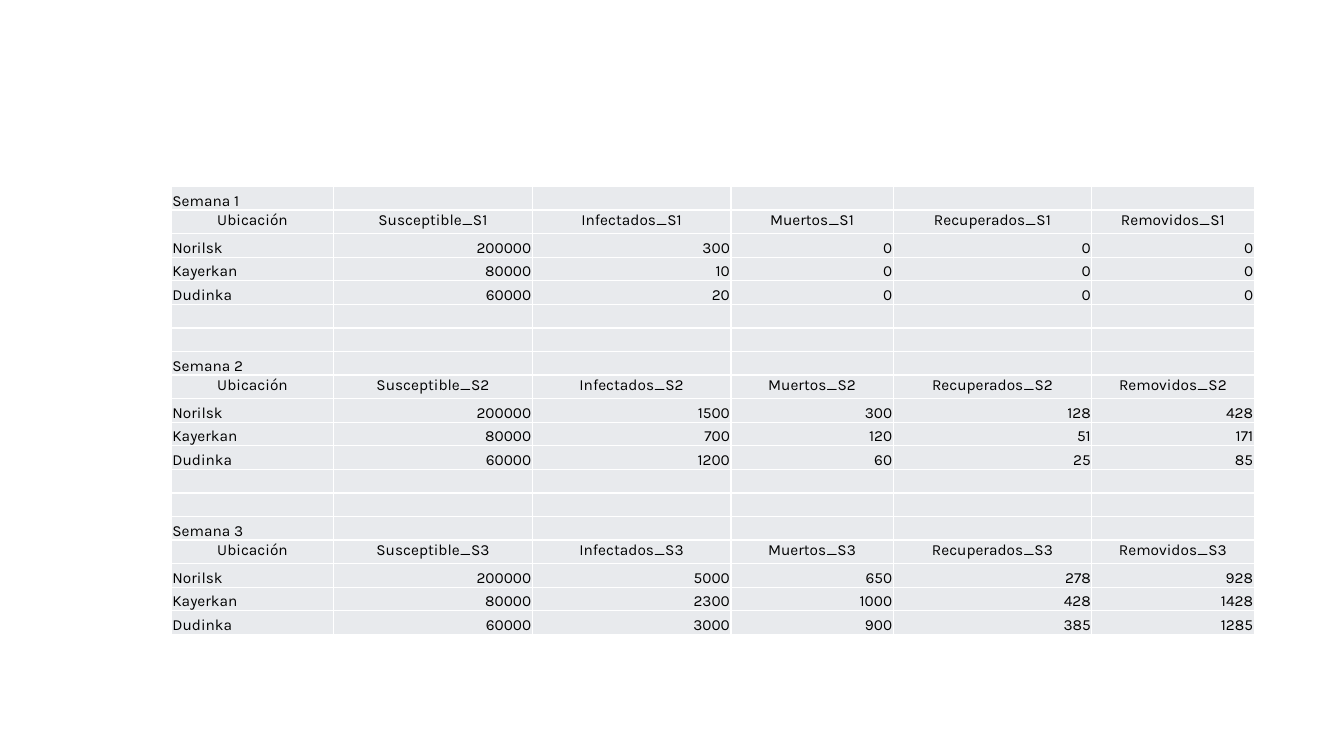
"""Build a slide with one table of weekly epidemic counts for three cities."""
from lxml.etree import SubElement
from pptx import Presentation
from pptx.dml.color import RGBColor
from pptx.enum.text import MSO_ANCHOR, PP_ALIGN
from pptx.oxml.ns import qn
from pptx.util import Inches, Pt

FONT, SIZE = "Karla", 11
INK, CELL_FILL, BORDER = "000000", "E8EAED", "FFFFFF"
MEASURES = ["Susceptible", "Infectados", "Muertos", "Recuperados", "Removidos"]
WEEKS = [
    [("Norilsk", 200000, 300, 0, 0, 0),
     ("Kayerkan", 80000, 10, 0, 0, 0),
     ("Dudinka", 60000, 20, 0, 0, 0)],
    [("Norilsk", 200000, 1500, 300, 128, 428),
     ("Kayerkan", 80000, 700, 120, 51, 171),
     ("Dudinka", 60000, 1200, 60, 25, 85)],
    [("Norilsk", 200000, 5000, 650, 278, 928),
     ("Kayerkan", 80000, 2300, 1000, 428, 1428),
     ("Dudinka", 60000, 3000, 900, 385, 1285)],
]
NARROW, WIDE = 1.61, 1.97
COLUMN_WIDTHS = [NARROW, WIDE, WIDE, NARROW, WIDE, NARROW]
LEFT, TOP, HEIGHT = 1.7, 1.85, 4.45
GAP_ROWS = 2


def color(value):
    return RGBColor.from_string(value)


def write(cell, text, align=PP_ALIGN.LEFT, anchor=MSO_ANCHOR.BOTTOM):
    cell.vertical_anchor = anchor
    cell.margin_left = cell.margin_right = cell.margin_top = Inches(0.01)
    cell.margin_bottom = 0
    paragraph = cell.text_frame.paragraphs[0]
    paragraph.alignment = align
    if not text:
        SubElement(paragraph._p, qn("a:endParaRPr"), sz=str(SIZE * 100))
        return
    run = paragraph.add_run()
    run.text = text
    run.font.name, run.font.size = FONT, Pt(SIZE)
    run.font.color.rgb = color(INK)


def paint(cell):
    properties = cell._tc.get_or_add_tcPr()
    for side in ("a:lnL", "a:lnR", "a:lnT", "a:lnB"):
        line = SubElement(properties, qn(side), w=str(Pt(1)))
        fill = SubElement(line, qn("a:solidFill"))
        SubElement(fill, qn("a:srgbClr"), val=BORDER)
    cell.fill.solid()
    cell.fill.fore_color.rgb = color(CELL_FILL)


def table_rows():
    blank = [""] * len(COLUMN_WIDTHS)
    rows = []
    for week, cities in enumerate(WEEKS, 1):
        if rows:
            rows += [blank] * GAP_ROWS
        rows.append([f"Semana {week}"] + blank[1:])
        rows.append(["Ubicación"] + [f"{name}_S{week}" for name in MEASURES])
        rows += [[str(value) for value in city] for city in cities]
    return rows


def main():
    presentation = Presentation()
    presentation.slide_width, presentation.slide_height = Inches(13.33), Inches(7.5)
    slide = presentation.slides.add_slide(presentation.slide_layouts[6])
    rows = table_rows()
    table = slide.shapes.add_table(
        len(rows), len(COLUMN_WIDTHS), Inches(LEFT), Inches(TOP),
        Inches(sum(COLUMN_WIDTHS)), Inches(HEIGHT)).table
    table.first_row = table.horz_banding = False
    for column, width in zip(table.columns, COLUMN_WIDTHS):
        column.width = Inches(width)
    for row, texts in zip(table.rows, rows):
        row.height = Inches(HEIGHT / len(rows))
        for index, (cell, text) in enumerate(zip(row.cells, texts)):
            paint(cell)
            if texts[0] == "Ubicación":
                write(cell, text, align=PP_ALIGN.CENTER, anchor=MSO_ANCHOR.TOP)
            else:
                write(cell, text, align=PP_ALIGN.RIGHT if index else PP_ALIGN.LEFT)
    presentation.save("out.pptx")


if __name__ == "__main__":
    main()
